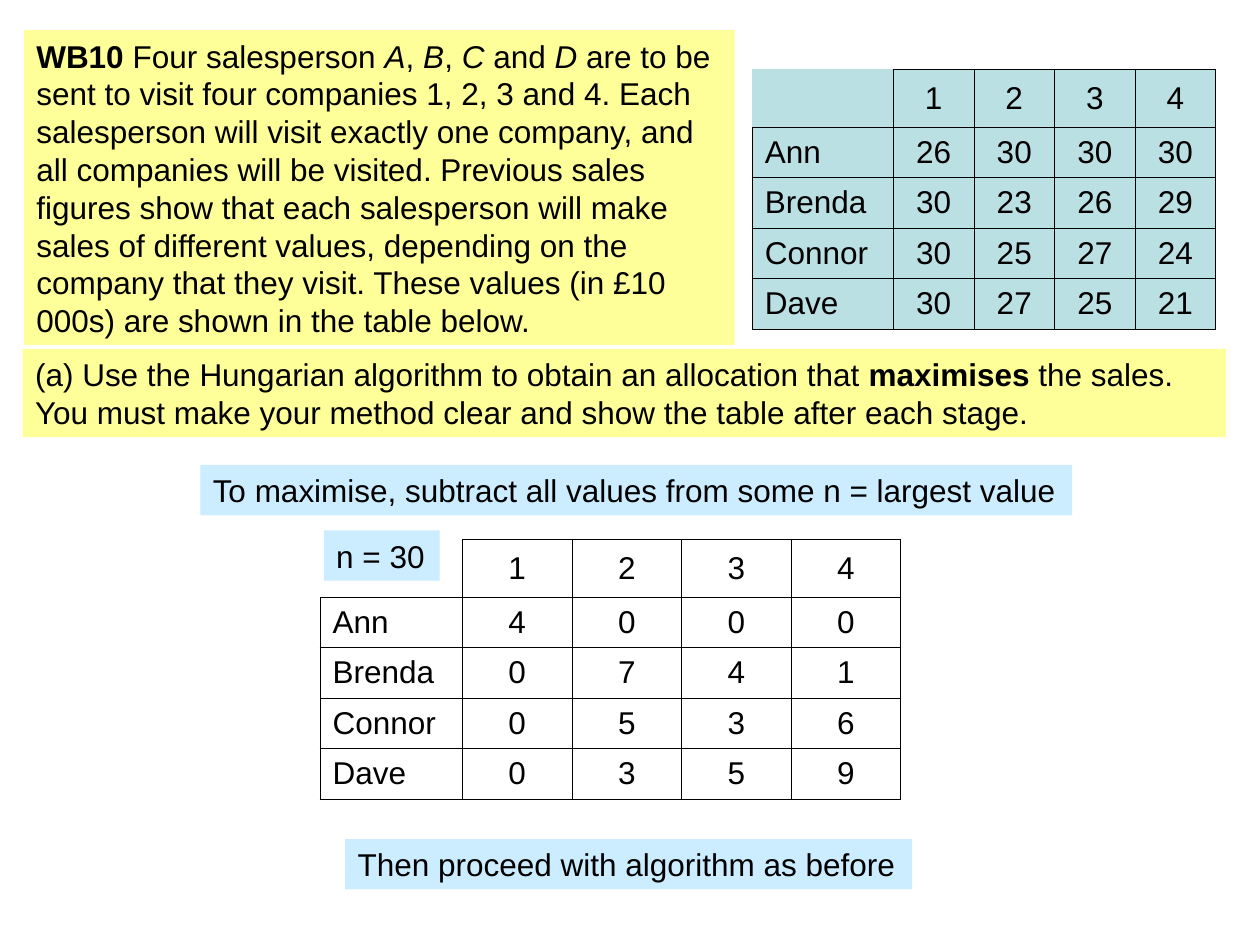
"""Build the slide on maximising sales with the Hungarian algorithm."""
import pptx
import pptx.dml.color
import pptx.enum.shapes
import pptx.enum.text
import pptx.oxml
import pptx.oxml.ns
import pptx.util
from pptx.util import Inches

BLACK = pptx.dml.color.RGBColor(0x00, 0x00, 0x00)
YELLOW = pptx.dml.color.RGBColor(0xFF, 0xFF, 0x99)
SKY = pptx.dml.color.RGBColor(0xCC, 0xEC, 0xFF)
TEAL = pptx.dml.color.RGBColor(0xBB, 0xE0, 0xE3)
MIDDLE = pptx.enum.text.MSO_ANCHOR.MIDDLE
TOP = pptx.enum.text.MSO_ANCHOR.TOP
LEFT = pptx.enum.text.PP_ALIGN.LEFT
CENTER = pptx.enum.text.PP_ALIGN.CENTER

presentation = pptx.Presentation()
presentation.slide_width = Inches(10)
presentation.slide_height = Inches(7.5)
slide = presentation.slides.add_slide(presentation.slide_layouts[6])


def add_panel(left, top, width, height, color, anchor, wrap, pieces):
    panel = slide.shapes.add_shape(
        pptx.enum.shapes.MSO_SHAPE.RECTANGLE,
        Inches(left), Inches(top), Inches(width), Inches(height))
    panel.shadow.inherit = False
    panel.fill.solid()
    panel.fill.fore_color.rgb = color
    panel.line.fill.background()
    frame = panel.text_frame
    frame.word_wrap = wrap
    frame.auto_size = pptx.enum.text.MSO_AUTO_SIZE.SHAPE_TO_FIT_TEXT
    frame.vertical_anchor = anchor
    paragraph = frame.paragraphs[0]
    paragraph.alignment = LEFT
    for text, style in pieces:
        run = paragraph.add_run()
        run.text = text
        run.font.name = "Arial"
        run.font.size = pptx.util.Pt(18)
        run.font.color.rgb = BLACK
        run.font.bold = style == "bold"
        run.font.italic = style == "italic"


def add_grid(left, top, name_width, value_width, values, color):
    rows = [["", 1, 2, 3, 4]]
    rows += [[name, *numbers] for name, numbers in zip(salespeople, values)]
    grid = slide.shapes.add_table(
        5, 5, Inches(left), Inches(top),
        Inches(name_width + 4 * value_width), Inches(2.06)).table
    grid.first_row = False
    grid.horz_banding = False
    for index in range(5):
        grid.columns[index].width = Inches(value_width if index else name_width)
        grid.rows[index].height = Inches(0.4 if index else 0.46)
    for r, row in enumerate(rows):
        for c, content in enumerate(row):
            cell = grid.cell(r, c)
            cell.text = str(content)
            cell.vertical_anchor = MIDDLE
            paragraph = cell.text_frame.paragraphs[0]
            paragraph.alignment = CENTER if c else LEFT
            paragraph.font.size = pptx.util.Pt(18)
            for run in paragraph.runs:
                run.font.name = "Arial"
                run.font.size = pptx.util.Pt(18)
                run.font.color.rgb = BLACK
            properties = cell._tc.get_or_add_tcPr()
            for side in ("L", "R", "T", "B"):
                hidden = r == c == 0 and side in ("L", "T")
                paint = "<a:noFill/>" if hidden else (
                    f'<a:solidFill><a:srgbClr val="{BLACK}"/></a:solidFill>')
                properties.append(pptx.oxml.parse_xml(
                    f'<a:ln{side} {pptx.oxml.ns.nsdecls("a")} w="5715">'
                    f"{paint}</a:ln{side}>"))
            if color is None:
                cell.fill.background()
            else:
                cell.fill.solid()
                cell.fill.fore_color.rgb = color


salespeople = ["Ann", "Brenda", "Connor", "Dave"]
sales = [[26, 30, 30, 30], [30, 23, 26, 29], [30, 25, 27, 24], [30, 27, 25, 21]]
largest = max(map(max, sales))
shortfalls = [[largest - value for value in row] for row in sales]

add_panel(0.19, 0.24, 5.64, 2.5, YELLOW, MIDDLE, True, [
    ("WB10", "bold"), (" Four salesperson ", ""), ("A", "italic"), (", ", ""),
    ("B", "italic"), (", ", ""), ("C", "italic"), (" and ", ""), ("D", "italic"),
    (" are to be sent to visit four companies 1, 2, 3 and 4. Each salesperson "
     "will visit exactly one company, and all companies will be visited. "
     "Previous sales figures show that each salesperson will make sales of "
     "different values, depending on the company that they visit. These values "
     "(in £10 000s) are shown in the table below.", "")])
add_grid(5.97, 0.55, 1.12, 0.64, sales, TEAL)
add_panel(0.18, 2.77, 9.55, 0.7, YELLOW, MIDDLE, True, [
    ("(a) Use the Hungarian algorithm to obtain an allocation that ", ""),
    ("maximises", "bold"),
    (" the sales. You must make your method clear and show the table after "
     "each stage.", "")])

add_panel(1.59, 3.69, 6.92, 0.4, SKY, TOP, False, [
    ("To maximise, subtract all values from some n = largest value", "")])
add_grid(2.54, 4.28, 1.13, 0.87, shortfalls, None)
add_panel(2.74, 6.66, 4.5, 0.4, SKY, TOP, False, [
    ("Then proceed with algorithm as before", "")])
add_panel(2.57, 4.21, 0.92, 0.4, SKY, TOP, False, [(f"n = {largest}", "")])

presentation.save("out.pptx")
